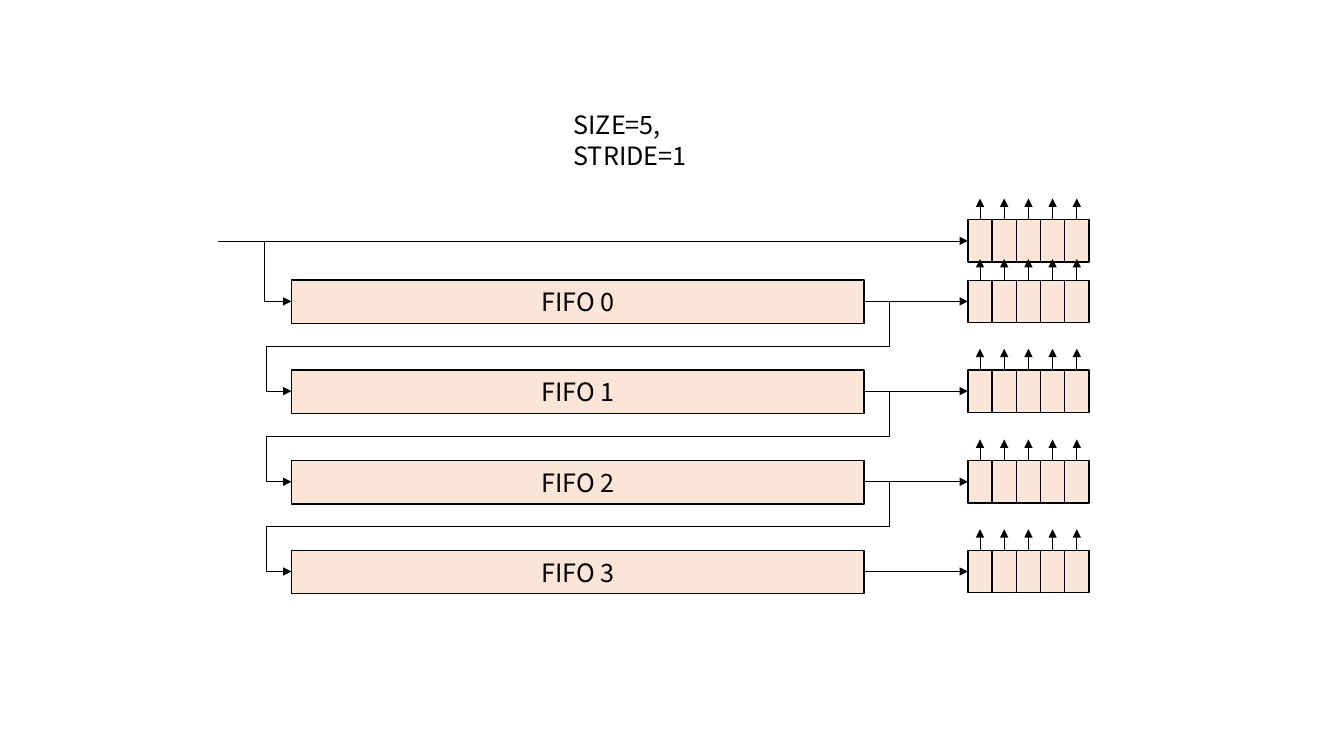
from dataclasses import dataclass

from lxml.etree import SubElement
from pptx import Presentation
from pptx.dml.color import RGBColor
from pptx.enum.shapes import MSO_CONNECTOR, MSO_SHAPE
from pptx.enum.text import MSO_ANCHOR, PP_ALIGN
from pptx.oxml.ns import qn
from pptx.util import Pt

EMU_PER_PX = 9144  # 100 px to the inch


@dataclass(frozen=True)
class Theme:
    font: str = "Noto Sans CJK SC"
    text_size: int = 18
    ink: RGBColor = RGBColor(0x00, 0x00, 0x00)
    block: RGBColor = RGBColor(0xFB, 0xE5, 0xD6)
    outline: float = 1
    wire: float = 0.5


class Diagram:
    def __init__(self, slide, theme):
        self.s = slide
        self.theme = theme

    def px(self, *lengths):
        return [n * EMU_PER_PX for n in lengths]

    def set_text(self, tf, text, align):
        tf.text = text
        tf.word_wrap = True
        p = tf.paragraphs[0]
        p.alignment = align
        font = p.runs[0].font
        font.name = self.theme.font
        font.size = Pt(self.theme.text_size)
        font.color.rgb = self.theme.ink

    def label(self, text, x, y, w, h):
        sp = self.s.shapes.add_textbox(*self.px(x, y, w, h))
        self.set_text(sp.text_frame, text, PP_ALIGN.LEFT)

    def box(self, x, y, w, h, text=""):
        sp = self.s.shapes.add_shape(MSO_SHAPE.RECTANGLE, *self.px(x, y, w, h))
        sp.shadow.inherit = False
        sp.fill.solid()
        sp.fill.fore_color.rgb = self.theme.block
        sp.line.color.rgb = self.theme.ink
        sp.line.width = Pt(self.theme.outline)
        if text:
            sp.text_frame.vertical_anchor = MSO_ANCHOR.MIDDLE
            self.set_text(sp.text_frame, text, PP_ALIGN.CENTER)

    def arrow(self, x1, y1, x2, y2, kind=MSO_CONNECTOR.STRAIGHT):
        cxn = self.s.shapes.add_connector(kind, *self.px(x1, y1, x2, y2))
        cxn.line.color.rgb = self.theme.ink
        cxn.line.width = Pt(self.theme.wire)
        sp_pr = cxn._element.spPr
        SubElement(sp_pr.find(qn("a:ln")), qn("a:tailEnd"), type="triangle")
        SubElement(sp_pr, qn("a:effectLst"))
        return cxn

    def elbow(self, x1, y1, x2, y2, preset, adjustments):
        """Bent arrow; each adjustment is a fraction of its width or height."""
        cxn = self.arrow(x1, y1, x2, y2, MSO_CONNECTOR.ELBOW)
        geom = cxn._element.spPr.find(qn("a:prstGeom"))
        geom.set("prst", preset)
        guides = geom.find(qn("a:avLst"))
        if guides is None:
            guides = SubElement(geom, qn("a:avLst"))
        for i, value in enumerate(adjustments, 1):
            SubElement(guides, qn("a:gd"), name=f"adj{i}",
                       fmla=f"val {round(value * 100000)}")


# Layout in px
SIZE = 5
INPUT_X, INPUT_Y = 216, 239
FIFO_X, FIFO_W, FIFO_H = 289, 568, 43
FIFO_RIGHT = FIFO_X + FIFO_W
CELL_X, CELL_W, CELL_H = 960, 24, 42
TAP = 21  # length of a register output
LOOP = 25  # how far the feedback wires stand off the FIFOs
BRANCH_X, BRANCH_START = 262, 878
FIFO_YS = [299 + 179 * i // 2 for i in range(SIZE - 1)]  # centre lines


def draw_fifos(d):
    for i, y in enumerate(FIFO_YS):
        d.box(FIFO_X, y - FIFO_H // 2, FIFO_W, FIFO_H, f"FIFO {i}")
        d.arrow(FIFO_RIGHT, y, CELL_X, y)
    # Each output loops back to the next FIFO
    for y, next_y in zip(FIFO_YS, FIFO_YS[1:]):
        d.elbow(FIFO_RIGHT, y, FIFO_X, next_y, "bentConnector5",
                [-LOOP / FIFO_W, 0.5, 1 + LOOP / FIFO_W])


def draw_input(d):
    d.arrow(INPUT_X, INPUT_Y, CELL_X, INPUT_Y)
    d.elbow(BRANCH_START, INPUT_Y, FIFO_X, FIFO_YS[0], "bentConnector3",
            [(BRANCH_START - BRANCH_X) / (BRANCH_START - FIFO_X)])


def draw_registers(d):
    for y in [INPUT_Y, *FIFO_YS]:
        top = y - CELL_H // 2
        for column in range(SIZE):
            x = CELL_X + column * CELL_W
            d.box(x, top, CELL_W, CELL_H)
            d.arrow(x + CELL_W // 2, top, x + CELL_W // 2, top - TAP)


def main():
    prs = Presentation()
    prs.slide_width = 1333 * EMU_PER_PX
    prs.slide_height = 750 * EMU_PER_PX
    d = Diagram(prs.slides.add_slide(prs.slide_layouts[6]), Theme())
    draw_fifos(d)
    draw_input(d)
    d.label("SIZE=5, STRIDE=1", 559, 104, 216, 40)
    draw_registers(d)
    prs.save("out.pptx")


if __name__ == "__main__":
    main()
